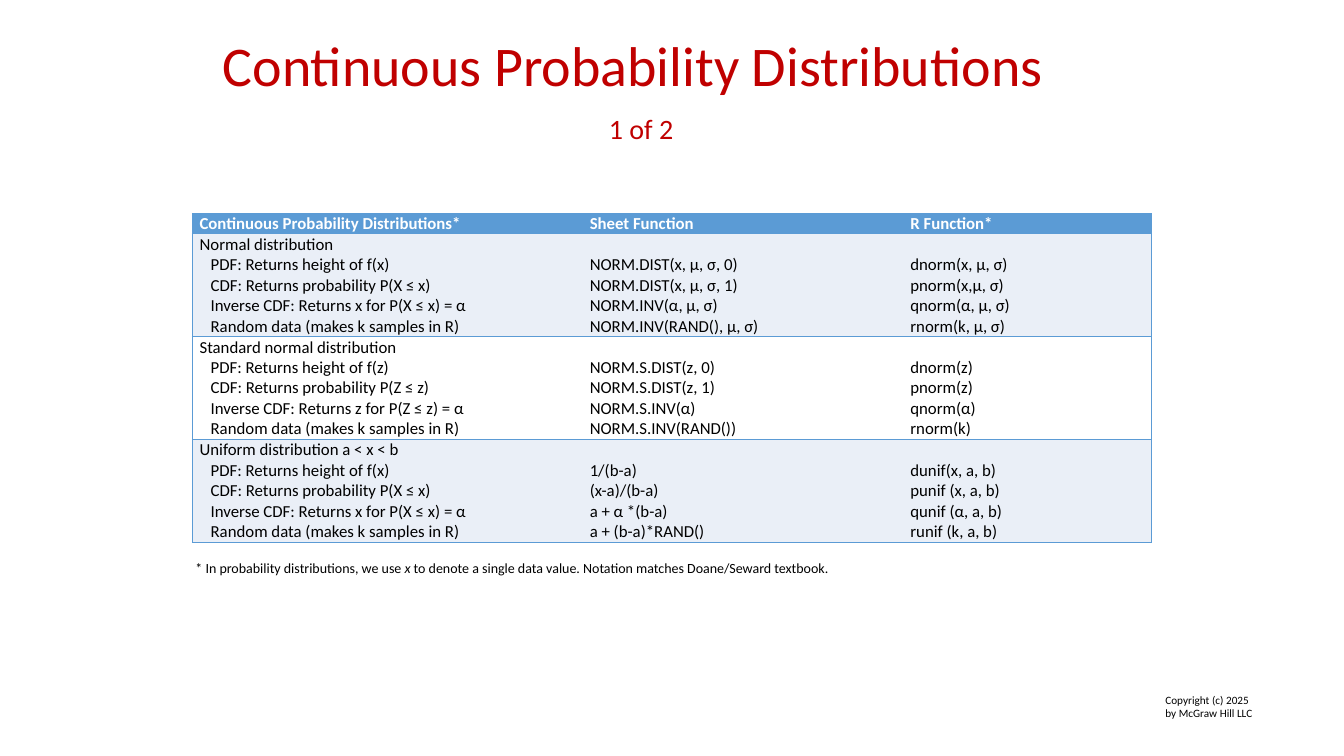
import pptx
import pptx.dml.color
import pptx.enum.text
import pptx.util
from lxml import etree
from pptx.oxml.ns import qn

Inches = pptx.util.Inches
Pt = pptx.util.Pt
Align = pptx.enum.text.PP_ALIGN
Anchor = pptx.enum.text.MSO_ANCHOR

COLORS = {"red": "C00000", "blue": "5B9BD5", "band": "EAEFF7",
          "white": "FFFFFF", "black": "000000"}

HEADINGS = ["Continuous Probability Distributions*", "Sheet Function", "R Function*"]
# Distribution, variable, spreadsheet functions, R functions
DISTRIBUTIONS = [
    ("Normal distribution", "x",
     ["NORM.DIST(x, µ, σ, 0)", "NORM.DIST(x, µ, σ, 1)",
      "NORM.INV(α, µ, σ)", "NORM.INV(RAND(), µ, σ)"],
     ["dnorm(x, µ, σ)", "pnorm(x,µ, σ)", "qnorm(α, µ, σ)", "rnorm(k, µ, σ)"]),
    ("Standard normal distribution", "z",
     ["NORM.S.DIST(z, 0)", "NORM.S.DIST(z, 1)", "NORM.S.INV(α)", "NORM.S.INV(RAND())"],
     ["dnorm(z)", "pnorm(z)", "qnorm(α)", "rnorm(k)"]),
    ("Uniform distribution a < x < b", "x",
     ["1/(b-a)", "(x-a)/(b-a)", "a + α *(b-a)", "a + (b-a)*RAND()"],
     ["dunif(x, a, b)", "punif (x, a, b)", "qunif (α, a, b)", "runif (k, a, b)"]),
]


def describe(name, variable):
    """Lines of the first column for one distribution."""
    upper = variable.upper()
    return [name,
            f"PDF: Returns height of f({variable})",
            f"CDF: Returns probability P({upper} ≤ {variable})",
            f"Inverse CDF: Returns {variable} for P({upper} ≤ {variable}) = α",
            "Random data (makes k samples in R)"]


class SlideBuilder:
    font_name = "Calibri"

    def __init__(self, slide):
        self.slide = slide

    def color(self, name):
        return pptx.dml.color.RGBColor.from_string(COLORS[name])

    def style(self, paragraph, size, color, bold=False, align=Align.LEFT):
        paragraph.alignment = align
        font = paragraph.font
        font.name, font.size, font.bold = self.font_name, Pt(size), bold
        font.color.rgb = self.color(color)

    def title(self, text, box, size, color):
        shape = self.slide.shapes.title
        shape.left, shape.top, shape.width, shape.height = map(Inches, box)
        frame = shape.text_frame
        frame.auto_size = pptx.enum.text.MSO_AUTO_SIZE.NONE
        frame.text = text
        self.style(frame.paragraphs[0], size, color, align=Align.CENTER)

    def text(self, lines, box, size, color):
        """Each line is a list of (text, italic) runs."""
        frame = self.slide.shapes.add_textbox(*map(Inches, box)).text_frame
        frame.word_wrap = True
        for index, runs in enumerate(lines):
            paragraph = frame.add_paragraph() if index else frame.paragraphs[0]
            self.style(paragraph, size, color)
            for words, italic in runs:
                run = paragraph.add_run()
                run.text = words
                if italic:
                    run.font.italic = True

    def borders(self, cell, visible):
        properties = cell._tc.get_or_add_tcPr()
        for side in "LRTB":
            line = etree.SubElement(properties, qn(f"a:ln{side}"), w=str(Pt(1)))
            if side in visible:
                fill = etree.SubElement(line, qn("a:solidFill"))
                etree.SubElement(fill, qn("a:srgbClr"), val=COLORS["blue"])
            else:
                etree.SubElement(line, qn("a:noFill"))

    def cell(self, cell, lines, fill, color, bold=False, indent=False):
        cell.margin_left = cell.margin_right = Inches(0.07)
        cell.margin_top = cell.margin_bottom = 0
        cell.vertical_anchor = Anchor.BOTTOM
        cell.text = "\n".join(lines)
        for index, paragraph in enumerate(cell.text_frame.paragraphs):
            if indent and index:
                paragraph._p.get_or_add_pPr().set("marL", str(Inches(0.11)))
            self.style(paragraph, 12, color, bold)
        cell.fill.solid()
        cell.fill.fore_color.rgb = self.color(fill)

    def table(self, left, top, column_widths, row_heights, rows):
        table = self.slide.shapes.add_table(
            len(rows), len(column_widths), Inches(left), Inches(top),
            Inches(sum(column_widths)), Inches(sum(row_heights))).table
        table.horz_banding = False
        for column, width in zip(table.columns, column_widths):
            column.width = Inches(width)
        for row, height in zip(table.rows, row_heights):
            row.height = Inches(height)
        last = len(column_widths) - 1
        for row_index, row in enumerate(rows):
            header = row_index == 0
            fill = "blue" if header else ("band" if row_index % 2 else "white")
            for column_index, lines in enumerate(row):
                cell = table.cell(row_index, column_index)
                sides = "TB" + "L" * (column_index == 0) + "R" * (column_index == last)
                self.borders(cell, sides)
                self.cell(cell, lines, fill, "white" if header else "black",
                          bold=header, indent=column_index == 0)


def main():
    presentation = pptx.Presentation()
    presentation.slide_width = Inches(13.33)
    presentation.slide_height = Inches(7.5)
    builder = SlideBuilder(presentation.slides.add_slide(presentation.slide_layouts[5]))

    # Title and part number
    builder.title("Continuous Probability Distributions", (1.73, 0.25, 9.09, 0.77), 40, "red")
    builder.text([[("1 of 2", False)]], (5.94, 1.06, 0.88, 0.44), 20, "red")

    # Table of functions
    rows = [[[heading] for heading in HEADINGS]]
    rows += [[describe(name, variable), sheet, r_code]
             for name, variable, sheet, r_code in DISTRIBUTIONS]
    builder.table(1.91, 2.12, [3.87, 3.18, 2.46], [0.2] + [1.02] * 3, rows)

    # Footnote and copyright
    builder.text([[("* In probability distributions, we use ", False), ("x", True),
                   (" to denote a single data value. Notation matches Doane/Seward textbook.",
                    False)]], (1.84, 5.5, 6.71, 0.27), 10, "black")
    builder.text([[("Copyright (c) 2025", False)], [("by McGraw Hill LLC", False)]],
                 (11.46, 6.83, 1.13, 0.37), 8, "black")

    presentation.save("out.pptx")


if __name__ == "__main__":
    main()
